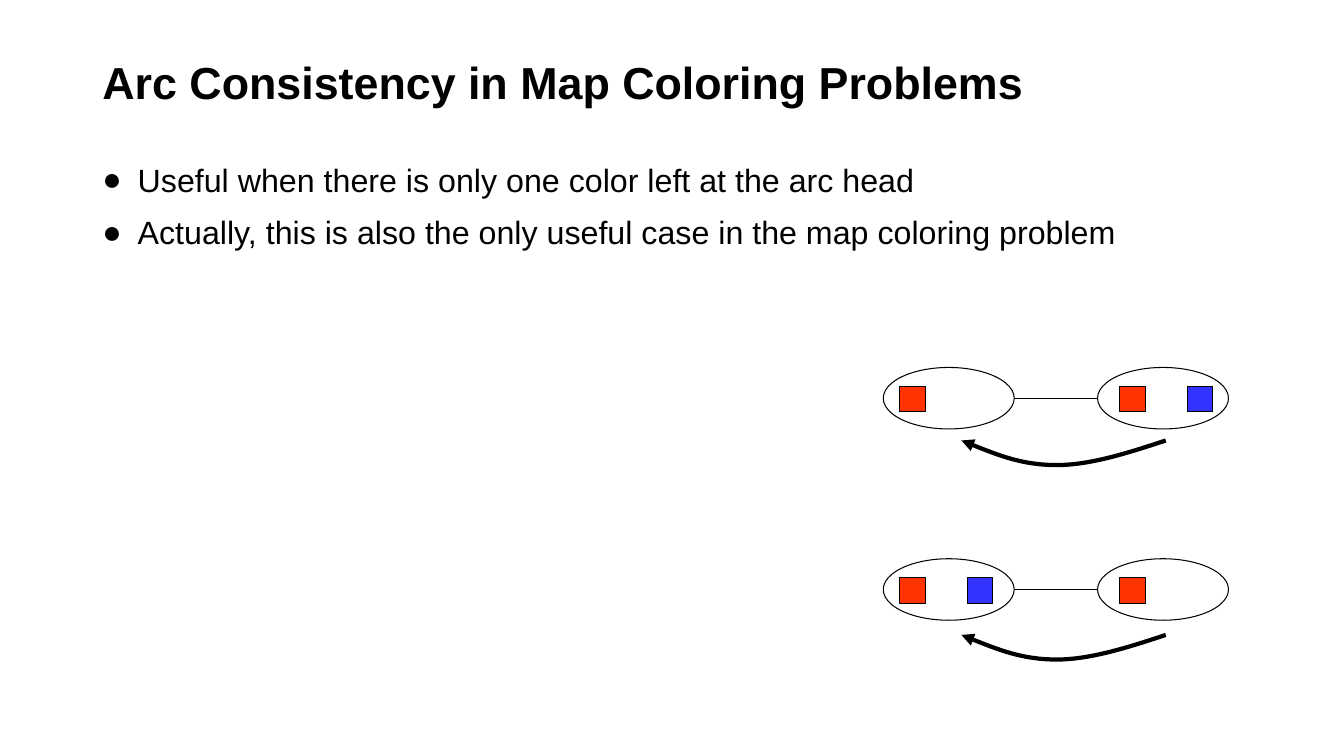
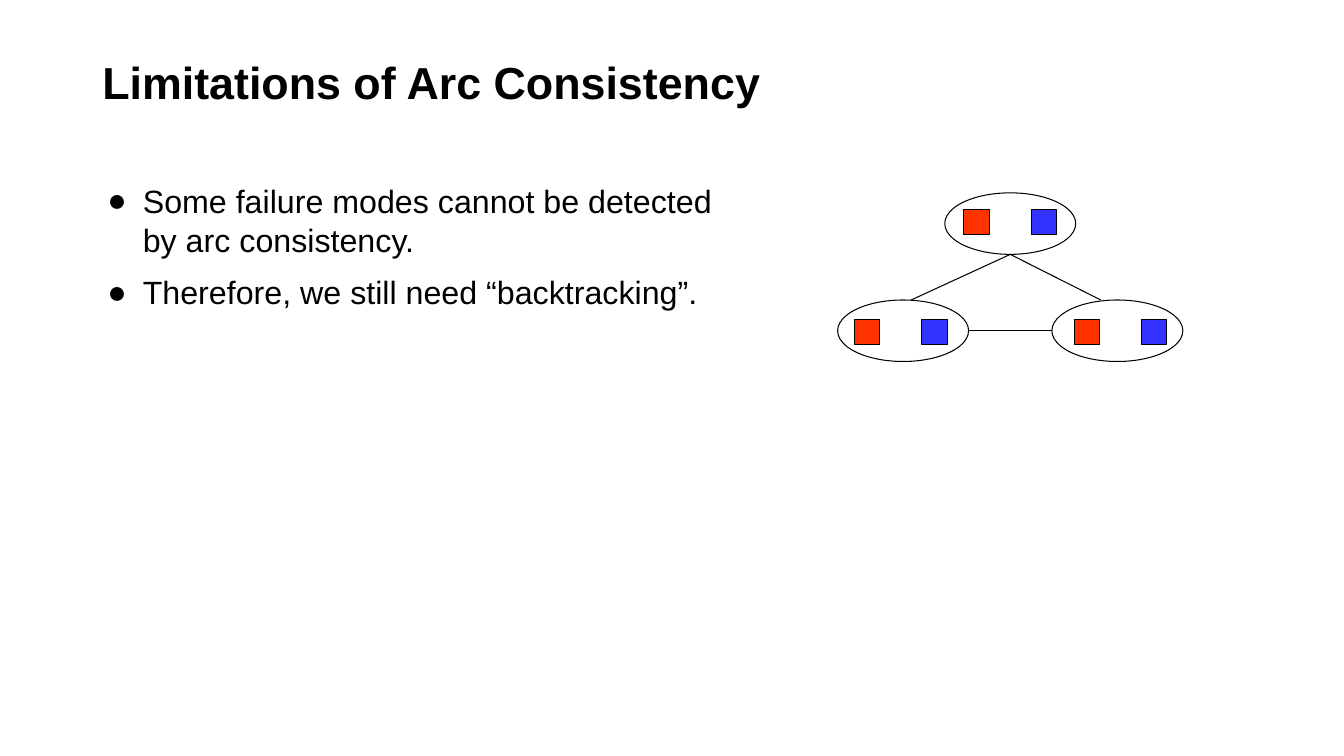
from lxml import etree
from pptx import Presentation
from pptx import util as u
from pptx.dml.color import RGBColor
from pptx.enum import shapes as es, text as et
from pptx.oxml import ns

HUES = {"ink": "000000", "red": "FF3300", "blue": "3333FF"}
HEAD = {"size": u.Pt(32), "bold": True, "name": "Arial"}
BODY = {"size": u.Pt(23), "bold": False, "name": "Arial"}
WIDE, HIGH, SIDE = 3.3, 1.55, 0.64
STEP, SPAN = 1.7, 5.4


def hue(key):
    return RGBColor.from_string(HUES[key])


def put(obj, vals):
    for key, val in vals.items():
        setattr(obj, key, val)


def sub(elem, tag, **vals):
    return etree.SubElement(elem, ns.qn(tag), vals)


def write(para, words, font):
    run = para.add_run()
    run.text = words
    put(run.font, font)
    run.font.color.rgb = hue("ink")


def frame(slide, x, y, w, h, anchor):
    box = slide.shapes.add_textbox(u.Cm(x), u.Cm(y), u.Cm(w), u.Cm(h))
    put(box.text_frame, {"word_wrap": True, "vertical_anchor": anchor})
    return box.text_frame


def title(slide, words):
    body = frame(slide, 2.33, 1.01, 29.21, 2.27, et.MSO_ANCHOR.MIDDLE)
    para = body.paragraphs[0]
    para.line_spacing = 0.9
    write(para, words, HEAD)


def points(slide, x, y, w, h, items):
    body = frame(slide, x, y, w, h, et.MSO_ANCHOR.TOP)
    for num, words in enumerate(items):
        para = body.add_paragraph() if num else body.paragraphs[0]
        if num:
            para.space_before = u.Pt(10)
        props = para._p.get_or_add_pPr()
        props.set("marL", str(u.Cm(0.89)))
        props.set("indent", str(u.Cm(-0.89)))
        sub(props, "a:buFont", typeface="Arial")
        sub(props, "a:buChar", char="●")
        write(para, words, BODY)


def stroke(line, width=0.75):
    line.color.rgb = hue("ink")
    line.width = u.Pt(width)


def shape(group, kind, x, y, w, h, fill=None):
    item = group.shapes.add_shape(kind, u.Cm(x), u.Cm(y), u.Cm(w), u.Cm(h))
    item.shadow.inherit = False
    if fill:
        item.fill.solid()
        item.fill.fore_color.rgb = hue(fill)
    else:
        item.fill.background()
    stroke(item.line)


def node(group, x, y, fills, pad, drop=0.48):
    shape(group, es.MSO_SHAPE.OVAL, x, y, WIDE, HIGH)
    for slot, fill in enumerate(fills):
        shape(group, es.MSO_SHAPE.RECTANGLE,
              x + pad + slot * STEP, y + drop, SIDE, SIDE, fill)


def edge(group, x1, y1, x2, y2):
    line = group.shapes.add_connector(
        es.MSO_CONNECTOR.STRAIGHT, u.Cm(x1), u.Cm(y1), u.Cm(x2), u.Cm(y2))
    stroke(line.line)
    sub(line._element.spPr, "a:effectLst")


def curve(group, x, y):
    dots = [(u.Cm(x + dx), u.Cm(y + dy)) for dx, dy in (
        (5.15, 0), (4.21, 0.31), (3.25, 0.62), (2.4, 0.62),
        (1.54, 0.62), (0.76, 0.31), (0, 0))]
    pen = group.shapes.build_freeform(*dots[0])
    pen.add_line_segments(dots[1:], close=False)
    arc = pen.convert_to_shape()
    arc.shadow.inherit = False
    arc.fill.background()
    stroke(arc.line, 3)
    sub(arc.line._get_or_add_ln(), "a:tailEnd", type="triangle")
    route = next(arc._element.iter(ns.qn("a:path")))
    legs = route.findall(ns.qn("a:lnTo"))
    for first in range(0, len(legs), 3):
        bend = sub(route, "a:cubicBezTo")
        for leg in legs[first:first + 3]:
            bend.append(leg[0])
            route.remove(leg)


def pair(group, x, y, left, right):
    node(group, x, y, left, 0.42)
    node(group, x + SPAN, y, right, 0.56)
    mid = y + HIGH / 2
    edge(group, x + WIDE, mid, x + SPAN, mid)


def start(deck, words):
    slide = deck.slides.add_slide(deck.slide_layouts[6])
    title(slide, words)
    return slide


def colors(deck):
    slide = start(deck, "Arc Consistency in Map Coloring Problems")
    points(slide, 2.33, 3.91, 28.2, 3.33, (
        "Useful when there is only one color left at the arc head",
        "Actually, this is also the only useful case in the map coloring problem"))
    x = 22.26
    for y, low, left, right in (
            (9.26, 11.1, ["red"], ["red", "blue"]),
            (14.08, 16.0, ["red", "blue"], ["red"])):
        group = slide.shapes.add_group_shape()
        pair(group, x, y, left, right)
        curve(group, x + 1.97, low)


def limits(deck):
    slide = start(deck, "Limitations of Arc Consistency")
    points(slide, 2.46, 4.45, 16.4, 8.03, (
        "Some failure modes cannot be detected by arc consistency.",
        "Therefore, we still need “backtracking”."))
    group = slide.shapes.add_group_shape()
    x, y, top = 21.11, 7.56, 4.86
    both = ["red", "blue"]
    pair(group, x, y, both, both)
    node(group, x + SPAN / 2, top, both, 0.48, 0.42)
    peak = x + (SPAN + WIDE) / 2
    for end in (22.96, 27.74):
        edge(group, peak, top + HIGH, end, y)


def main():
    deck = Presentation()
    put(deck, {"slide_width": u.Cm(33.87), "slide_height": u.Cm(19.05)})
    colors(deck)
    limits(deck)
    deck.save("out.pptx")


if __name__ == "__main__":
    main()
